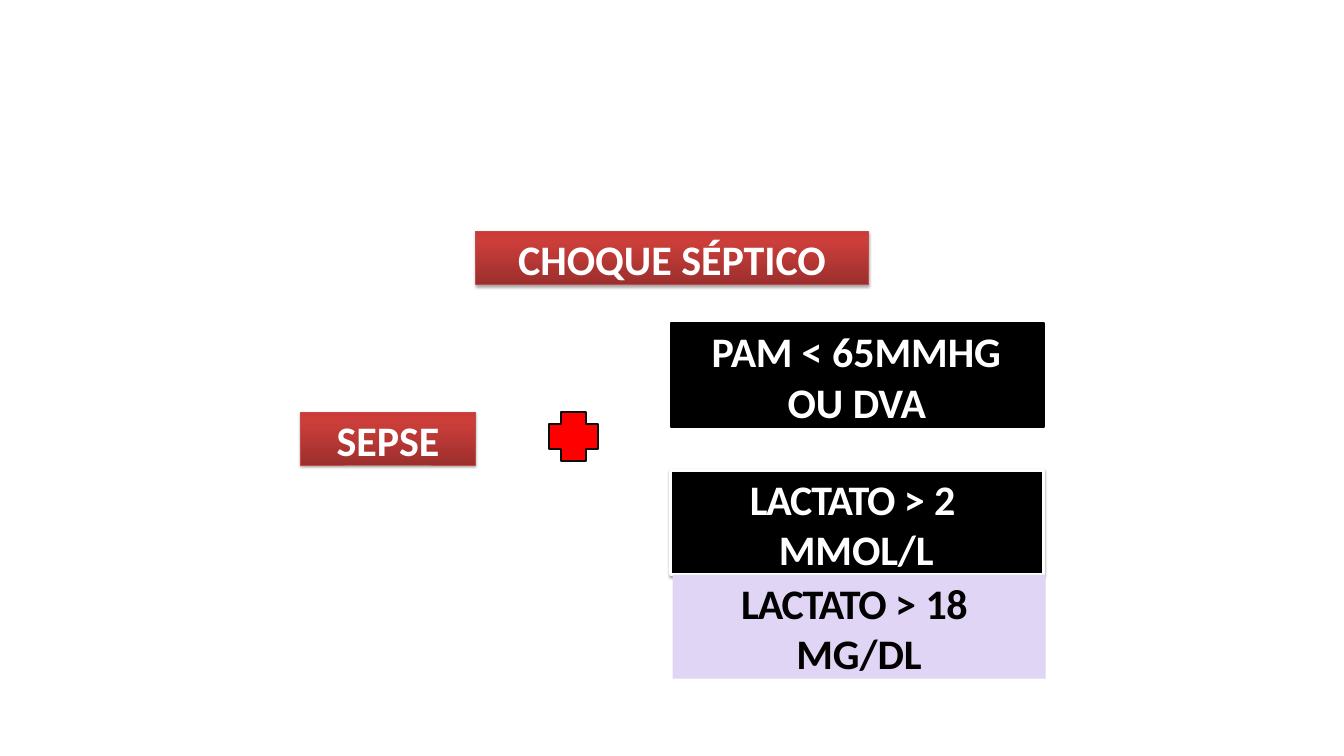
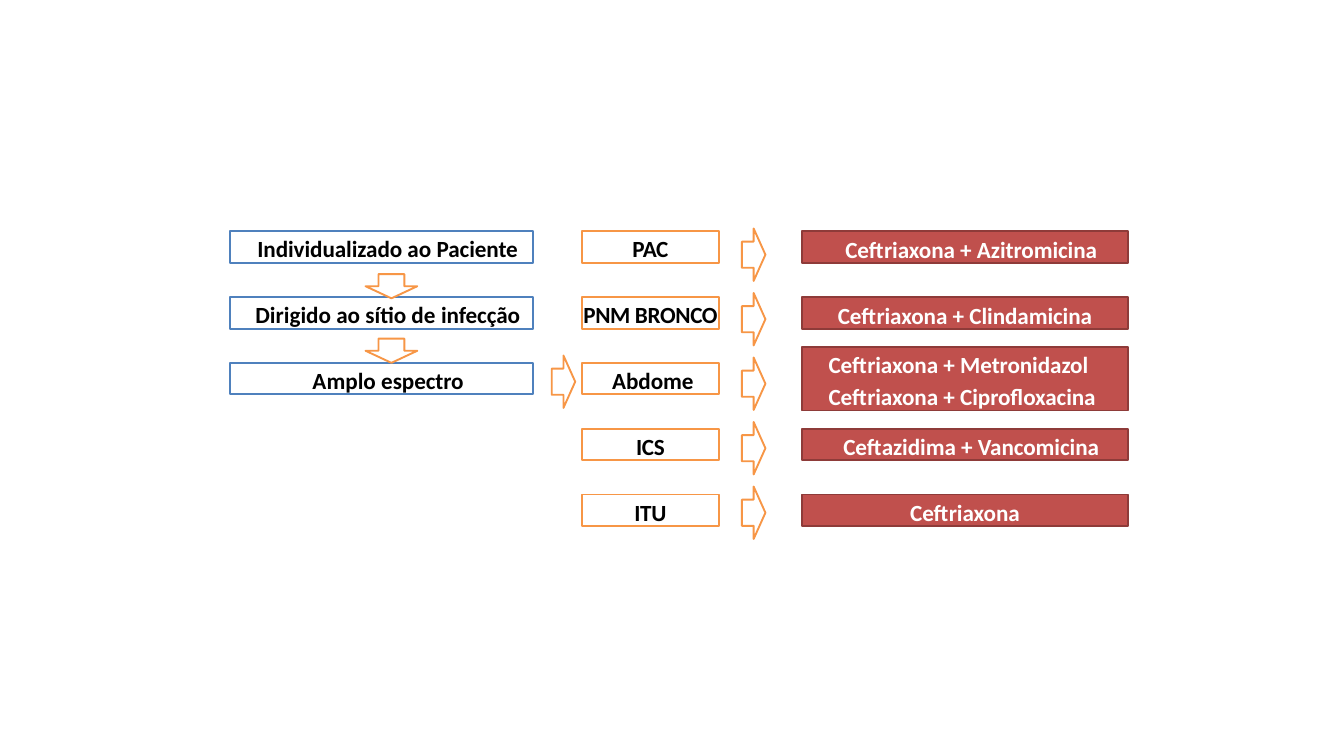
from copy import deepcopy

from lxml import etree
from pptx import Presentation
from pptx.dml.color import RGBColor
from pptx.enum.shapes import MSO_SHAPE
from pptx.enum.text import MSO_ANCHOR, MSO_AUTO_SIZE, PP_ALIGN
from pptx.oxml.ns import qn
from pptx.util import Emu, Pt

RECTANGLE, CROSS = MSO_SHAPE.RECTANGLE, MSO_SHAPE.CROSS
RIGHT_ARROW, DOWN_ARROW = MSO_SHAPE.RIGHT_ARROW, MSO_SHAPE.DOWN_ARROW
LEFT, CENTER = PP_ALIGN.LEFT, PP_ALIGN.CENTER
TOP, GROW = MSO_ANCHOR.TOP, MSO_AUTO_SIZE.SHAPE_TO_FIT_TEXT

SCALE = 9144  # EMU in one px, 100 px to the inch
FONT = "Calibri"
COLORS = {
    "white": "FFFFFF", "black": "000000", "ink": "0D0D0D", "plus": "FF0000",
    "lilac": "E0D5F4", "blue": "4F81BD", "orange": "F79646",
    "brick": "C0504D", "brick edge": "8E3B39", "red edge": "BF4C48",
}
RED_GRADIENT = [(0, "9C2F2D"), (0.8, "CB3E3A"), (1, "CE3B37")]


def px(length):
    return Emu(length * SCALE)


def rgb(name):
    return RGBColor.from_string(COLORS[name])


def add_preset(page, preset, box, fill, line=None, width=2):
    """Add a preset shape; a fill of None leaves it for a gradient."""
    shape = page.shapes.add_shape(preset, *map(px, box))
    shape.shadow.inherit = False
    if fill:
        shape.fill.solid()
        shape.fill.fore_color.rgb = rgb(fill)
    if line:
        shape.line.color.rgb = rgb(line)
        shape.line.width = Pt(width)
    else:
        shape.line.fill.background()
    return shape


def add_shadow(shape, alpha):
    effects = shape._element.spPr.find(qn("a:effectLst"))
    shadow = etree.SubElement(effects, qn("a:outerShdw"), blurRad="39370",
                              dist="22860", dir="5400000", rotWithShape="0")
    color = etree.SubElement(shadow, qn("a:srgbClr"), val=COLORS["black"])
    etree.SubElement(color, qn("a:alpha"), val=str(alpha * 1000))


def add_gradient(shape):
    shape.fill.gradient()
    shape.fill.gradient_angle = 90
    stops = shape._element.spPr.find(qn("a:gradFill")).find(qn("a:gsLst"))
    stops.append(deepcopy(stops[-1]))
    for stop, (position, color) in zip(shape.fill.gradient_stops, RED_GRADIENT):
        stop.position = position
        stop.color.rgb = RGBColor.from_string(color)


def write(shape, paras, size, color, inset, margin=None, hanging=0):
    """Write paragraphs of (text, spacing) runs; no margin means centred."""
    frame = shape.text_frame
    frame.word_wrap = True
    frame.auto_size = GROW
    frame.vertical_anchor = TOP
    frame.margin_left = frame.margin_right = frame.margin_bottom = 0
    frame.margin_top = px(inset)
    for index, spans in enumerate(paras):
        para = frame.add_paragraph() if index else frame.paragraphs[0]
        para.alignment = CENTER if margin is None else LEFT
        if index:
            para.space_before = Pt(4)
        if margin is not None:
            properties = para._p.get_or_add_pPr()
            properties.set("marL", str(px(margin)))
            properties.set("indent", str(px(hanging)))
        for text, spacing in spans:
            span = para.add_run()
            span.text = text
            span.font.name = FONT
            span.font.size = Pt(size)
            span.font.bold = True
            span.font.color.rgb = rgb(color)
            span._r.get_or_add_rPr().set("spc", str(spacing))


# Septic shock: definition

def red_label(page, box, spans, margin):
    label = add_preset(page, RECTANGLE, box, None, "red edge", 0.75)
    add_gradient(label)
    add_shadow(label, 35)
    write(label, [spans], 45, "white", 4, margin)


def criteria(page, box):
    left, top, width, height = box
    lactate = ("LACTATO ", -130)
    pressure = add_preset(page, RECTANGLE, box, "black", "black")
    write(pressure, [[("PAM ", -40), ("< ", 0), ("65MMHG ", -10), ("OU ", 0),
                      ("DVA", -40)]], 45, "white", 4, 174, -113)
    molar = add_preset(page, RECTANGLE, (left, top + 219, width, height),
                       "black", "white", 3)
    add_shadow(molar, 38)
    write(molar, [[lactate, ("> ", 0), ("2 ", -80), ("MMOL/L", -10)]],
          45, "white", 4, 161, -43)
    mass = add_preset(page, RECTANGLE,
                      (left + 3, top + 219 + height, width, height), "lilac")
    write(mass, [[lactate, ("> ", 0), ("18 ", -40), ("MG/DL", -10)]],
          45, "black", 4, 184, -82)


def shock_slide(page):
    red_label(page, (708, 344, 584, 79),
              [("CHOQUE ", 0), ("SÉPTICO", -10)], 63)
    red_label(page, (447, 613, 261, 79), [("SEPSE", -10)], 54)
    add_preset(page, CROSS, (817, 613, 73, 73), "plus", "ink")
    criteria(page, (998, 481, 555, 155))


# Antibiotic choice: principles, sites and drugs

ROW_HEIGHT, ROW_PITCH, ARROW_PITCH = 47, 98, 96

PRINCIPLES = [
    ([("Individualizado ", -10), ("ao ", 0), ("Paciente", -10)], 41),
    ([("Dirigido ao sítio de", 0), (" infecção", -10)], 38),
    ([("Amplo ", 0), ("espectro", -10)], 123),
]


def combo(first, second):
    return [(first + " ", -10), ("+ ", 0), (second, -10)]


# Site, its margin, drug lines, their margin
TREATMENTS = [
    ("PAC", None, [combo("Ceftriaxona", "Azitromicina")], 65),
    ("PNM BRONCO", None, [combo("Ceftriaxona", "Clindamicina")], None),
    ("Abdome", 45, [combo("Ceftriaxona", "Metronidazol"),
                    combo("Ceftriaxona", "Ciprofloxacina")], 40),
    ("ICS", None, [combo("Ceftazidima", "Vancomicina")], 62),
    ("ITU", None, [[("Ceftriaxona", -10)]], None),
]


def arrow(page, preset, box):
    add_preset(page, preset, box, "white", "orange")


def principles(page, box):
    left, top, width, height = box
    for row, (spans, margin) in enumerate(PRINCIPLES):
        cell = add_preset(page, RECTANGLE,
                          (left, top + row * ROW_PITCH, width, height),
                          "white", "blue")
        write(cell, [spans], 24.8, "black", 5, margin)
    for row in range(len(PRINCIPLES) - 1):
        arrow(page, DOWN_ARROW,
              (left + 202, top + 64 + row * ARROW_PITCH, 77, 36))


def treatments(page, box):
    left, top, width, height = box
    for row, (site, site_margin, drugs, drug_margin) in enumerate(TREATMENTS):
        row_top = top + row * ROW_PITCH
        label = add_preset(page, RECTANGLE, (left, row_top, 204, height),
                           "white", "orange")
        spacing = -40 if site_margin is None else -10
        write(label, [[(site, spacing)]], 24.8, "black", 5, site_margin)

        # Taller drug boxes stay centred on their row
        drug_height = height + (len(drugs) - 1) * 48
        drug = add_preset(page, RECTANGLE,
                          (left + 327, row_top - (drug_height - height) // 2,
                           width - 327, drug_height), "brick", "brick edge")
        write(drug, drugs, 24.8, "white", 6, drug_margin)
        arrow(page, RIGHT_ARROW,
              (left + 238, top - 4 + row * ARROW_PITCH, 35, 78))


def antibiotic_slide(page):
    principles(page, (342, 344, 451, ROW_HEIGHT))
    arrow(page, RIGHT_ARROW, (821, 529, 35, 78))
    treatments(page, (866, 344, 813, ROW_HEIGHT))


def main():
    deck = Presentation()
    deck.slide_width, deck.slide_height = px(2000), px(1125)
    for build in (shock_slide, antibiotic_slide):
        build(deck.slides.add_slide(deck.slide_layouts[6]))
    deck.save("out.pptx")


if __name__ == "__main__":
    main()
